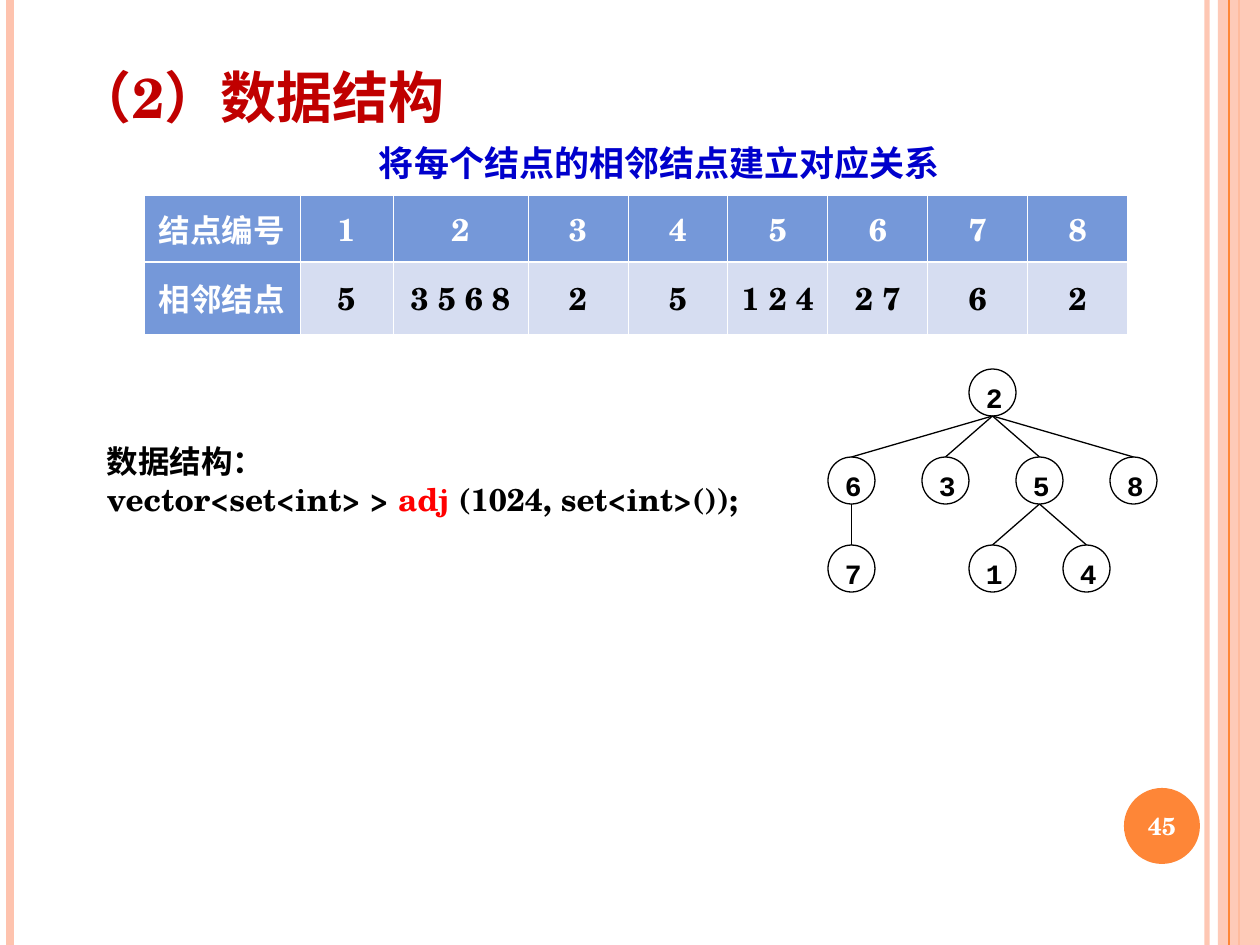
import pptx
import pptx.dml.color
import pptx.enum.shapes
import pptx.enum.text
import pptx.oxml.ns
import pptx.util
from lxml import etree

PIXEL = 914400 / 126
COLORS = {
    "white": "FFFFFF", "black": "000000", "title": "C00000", "heading": "0000CC",
    "accent": "FF0000", "peach": "FEC3AE", "orange": "FE8637",
    "header": "7598D9", "band": "D6DDF1",
}
SERIF, SANS, MONO = "TeX Gyre Schola", "Noto Sans CJK SC", "Courier New"
ALIGN = pptx.enum.text.PP_ALIGN
ANCHOR = pptx.enum.text.MSO_ANCHOR
SHAPE = pptx.enum.shapes.MSO_SHAPE


def px(*lengths):
    """Turn pixel lengths into a list of EMU."""
    return [pptx.util.Emu(round(length * PIXEL)) for length in lengths]


def rgb(name):
    """Look up a named colour."""
    return pptx.dml.color.RGBColor.from_string(COLORS[name])


def set_alpha(element, percent):
    """Make the first solid colour below an element translucent."""
    color = element.find(".//" + pptx.oxml.ns.qn("a:srgbClr"))
    etree.SubElement(color, pptx.oxml.ns.qn("a:alpha"), val=str(percent * 1000))


def write_text(frame, lines, size=18, font=SERIF, color="black", align=ALIGN.LEFT,
               anchor=ANCHOR.TOP, insets=(13, 6), wrap=True):
    """Fill a text frame with lines, each a string or a list of (text, colour) runs."""
    frame.word_wrap = wrap
    frame.auto_size = pptx.enum.text.MSO_AUTO_SIZE.NONE
    frame.vertical_anchor = anchor
    frame.margin_left = frame.margin_right = px(insets[0])[0]
    frame.margin_top = frame.margin_bottom = px(insets[1])[0]
    for index, line in enumerate(lines):
        paragraph = frame.add_paragraph() if index else frame.paragraphs[0]
        paragraph.alignment = align
        for text, run_color in [(line, color)] if isinstance(line, str) else line:
            run = paragraph.add_run()
            run.text = text
            run.font.size = pptx.util.Pt(size)
            run.font.bold = True
            run.font.name = font
            run.font.color.rgb = rgb(run_color)
            east_asian = etree.Element(pptx.oxml.ns.qn("a:ea"), typeface=SANS)
            run.font._element.find(pptx.oxml.ns.qn("a:latin")).addnext(east_asian)


def add_text(slide, box, lines, **text_format):
    """Add a text box."""
    write_text(slide.shapes.add_textbox(*px(*box)).text_frame, lines, **text_format)


def add_shape(shapes, kind, box, fill, line=None):
    """Add a flat preset shape."""
    shape = shapes.add_shape(kind, *px(*box))
    shape.shadow.inherit = False
    shape.fill.solid()
    shape.fill.fore_color.rgb = rgb(fill)
    if line:
        shape.line.color.rgb = rgb(line)
        shape.line.width = pptx.util.Pt(0.75)
    else:
        shape.line.fill.background()
    return shape


def add_line(shapes, start, end, color="black", width=0.75):
    """Add a straight line without a shadow."""
    line = shapes.add_connector(pptx.enum.shapes.MSO_CONNECTOR.STRAIGHT, *px(*start, *end))
    line.line.color.rgb = rgb(color)
    line.line.width = pptx.util.Pt(width)
    etree.SubElement(line._element.spPr, pptx.oxml.ns.qn("a:effectLst"))
    return line


def draw_frame(slide, width, height):
    """Draw the vertical bars at both edges and the page number badge."""
    def bar(x, color, line_width):
        """Draw one full-height bar."""
        return add_line(slide.shapes, (x, 0), (x, height), color, line_width)

    set_alpha(bar(width - 53, "peach", 3)._element, 93)
    bar(10, "peach", 4.5)
    bar(width - 21, "orange", 1.5)
    band = add_shape(slide.shapes, SHAPE.RECTANGLE, (width - 42, 0, 42, height), "peach")
    set_alpha(band._element, 87)
    bar(width - 31, "orange", 0.75)
    add_shape(slide.shapes, SHAPE.OVAL, (width - 136, height - 157, 76, 76), "orange")
    add_text(slide, (width - 140, height - 155, 84, 72), ["45"], size=14, color="white",
             align=ALIGN.CENTER, anchor=ANCHOR.MIDDLE)


def draw_title(slide, box):
    """Place and format the title."""
    title = slide.shapes.title
    title.left, title.top, title.width, title.height = px(*box)
    write_text(title.text_frame, ["（2）数据结构"], size=32, color="title",
               anchor=ANCHOR.BOTTOM)


def set_borders(cell, first_row):
    """Give a cell white borders, with a thick one between the rows."""
    thick = "B" if first_row else "T"
    properties = cell._tc.get_or_add_tcPr()
    for index, side in enumerate("LRTB"):
        width = pptx.util.Pt(1.47 if side == thick else 0.45)
        border = etree.Element(pptx.oxml.ns.qn(f"a:ln{side}"), w=str(width))
        fill = etree.SubElement(border, pptx.oxml.ns.qn("a:solidFill"))
        etree.SubElement(fill, pptx.oxml.ns.qn("a:srgbClr"), val=COLORS["white"])
        properties.insert(index, border)


def draw_table(slide, left, top):
    """Draw the table of adjacent nodes."""
    rows = [["结点编号", *"12345678"],
            ["相邻结点", "5", "3 5 6 8", "2", "5", "1 2 4", "2 7", "6", "2"]]
    widths = [156, 93, 135] + [100] * 6
    heights = [67, 72]
    table = slide.shapes.add_table(
        len(rows), len(widths), *px(left, top, sum(widths), sum(heights))).table
    for column, width in zip(table.columns, px(*widths)):
        column.width = width
    for row_index, (row, height) in enumerate(zip(rows, px(*heights))):
        table.rows[row_index].height = height
        for column_index, text in enumerate(row):
            cell = table.cell(row_index, column_index)
            is_header = row_index == 0 or column_index == 0
            cell.fill.solid()
            cell.fill.fore_color.rgb = rgb("header" if is_header else "band")
            cell.vertical_anchor = ANCHOR.MIDDLE
            cell.margin_left = cell.margin_right = px(10)[0]
            cell.margin_top = cell.margin_bottom = px(6)[0]
            write_cell = cell.text_frame
            write_text(write_cell, [text], color="white" if is_header else "black",
                       align=ALIGN.CENTER, anchor=ANCHOR.MIDDLE)
            set_borders(cell, row_index == 0)


def draw_tree(slide, left, top):
    """Draw the tree of nodes, each given as a half column and a level."""
    diameter, level_step = 47, 88
    nodes = {"2": (3, 0), "6": (0, 1), "3": (2, 1), "5": (4, 1), "8": (6, 1),
             "7": (0, 2), "1": (3, 2), "4": (5, 2)}
    edges = ["26", "23", "25", "28", "67", "51", "54"]
    shapes = slide.shapes.add_group_shape().shapes
    corners = {name: (left + column * diameter, top + level * level_step)
               for name, (column, level) in nodes.items()}
    for name, corner in corners.items():
        node = add_shape(shapes, SHAPE.OVAL, (*corner, diameter, diameter), "white", "black")
        write_text(node.text_frame, [name], size=16, font=MONO, align=ALIGN.CENTER,
                   insets=(10, 5))
    for parent, child in edges:
        (parent_x, parent_y), (child_x, child_y) = corners[parent], corners[child]
        add_line(shapes, (parent_x + diameter / 2, parent_y + diameter),
                 (child_x + diameter / 2, child_y))


def main():
    """Build the slide and save it."""
    presentation = pptx.Presentation()
    presentation.slide_width, presentation.slide_height = px(1260, 945)
    slide = presentation.slides.add_slide(presentation.slide_layouts[5])
    draw_frame(slide, 1260, 945)
    draw_title(slide, (63, 16, 1029, 120))
    draw_table(slide, 144, 195)
    draw_tree(slide, 828, 369)
    add_text(slide, (366, 135, 586, 55), ["将每个结点的相邻结点建立对应关系"],
             size=20, font=SANS, color="heading", wrap=False)
    add_text(slide, (94, 436, 708, 88), [
        "数据结构：",
        [("vector<set<int> > ", "black"), ("adj ", "accent"),
         ("(1024, set<int>());", "black")]])
    presentation.save("out.pptx")


if __name__ == "__main__":
    main()
